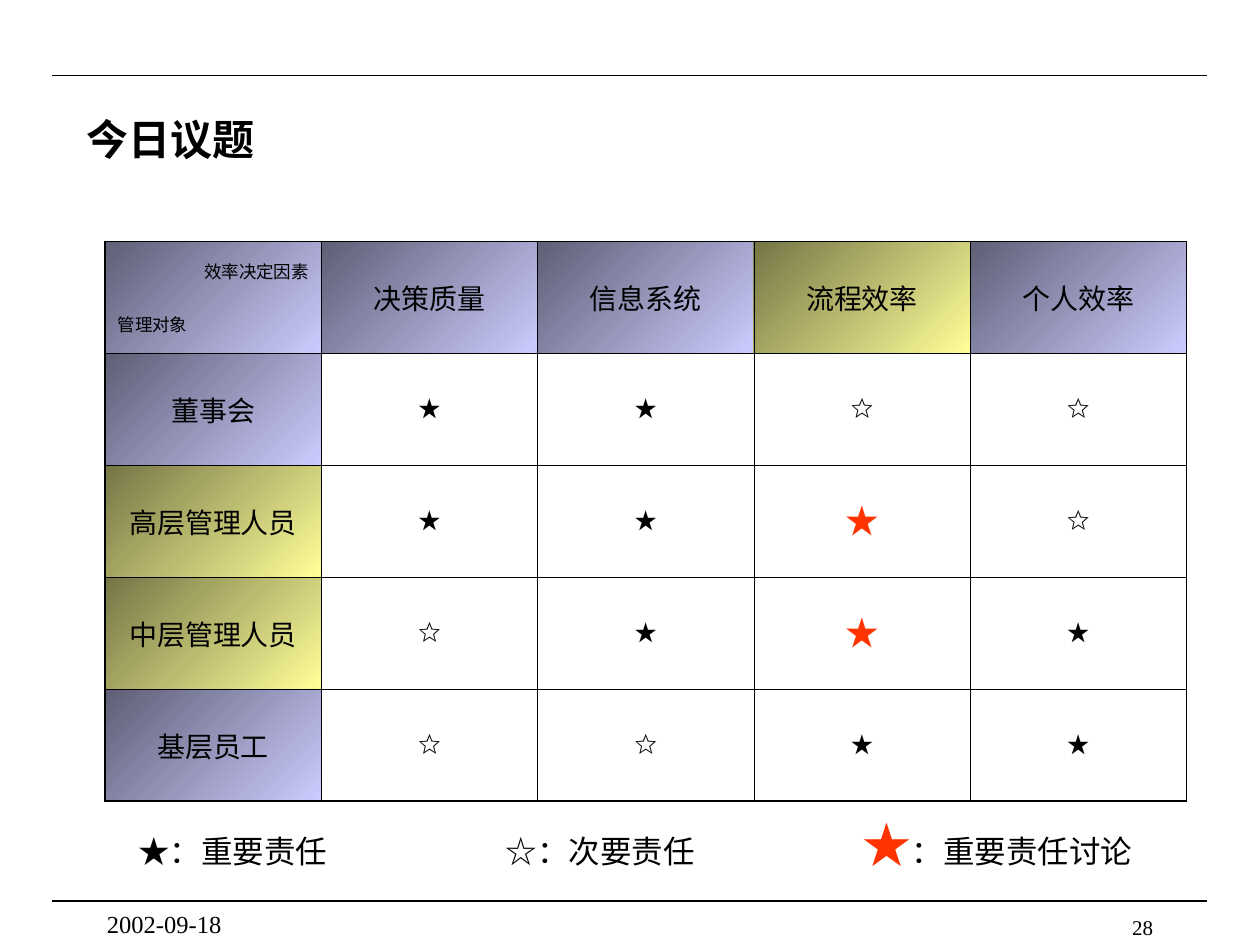
from lxml import etree
from pptx import Presentation
from pptx.dml.color import RGBColor
from pptx.enum.shapes import MSO_CONNECTOR, MSO_SHAPE
from pptx.enum.text import MSO_ANCHOR, PP_ALIGN
from pptx.oxml.ns import qn
from pptx.util import Inches, Pt

BLACK = RGBColor(0x00, 0x00, 0x00)
WHITE = RGBColor(0xFF, 0xFF, 0xFF)
RED = RGBColor(0xFF, 0x33, 0x00)
BLUE = (RGBColor(0xCC, 0xCC, 0xFF), RGBColor(0x5E, 0x5E, 0x75))
GOLD = (RGBColor(0xFF, 0xFF, 0x99), RGBColor(0x75, 0x75, 0x46))
LEFT, MID, RIGHT = PP_ALIGN.LEFT, PP_ALIGN.CENTER, PP_ALIGN.RIGHT
TOP, CENTER = MSO_ANCHOR.TOP, MSO_ANCHOR.MIDDLE
RECT, LINE = MSO_SHAPE.RECTANGLE, MSO_CONNECTOR.STRAIGHT
SANS, SERIF = "Noto Sans CJK SC", "Times New Roman"
COLS, ROWS = 120, 90
HEADS = ["决策质量", "信息系统", "流程效率", "个人效率"]
DUTIES = [
    ("董事会", "★★☆☆"),
    ("高层管理人员", "★★★☆"),
    ("中层管理人员", "☆★★★"),
    ("基层员工", "☆☆★★"),
]
HOT_COL, HOT_ROWS = 3, (2, 3)


class Deck:
    """Holds the style and the current slide, measured on a grid of twelfths of an inch."""

    def __init__(self):
        self.prs = Presentation()
        self.prs.slide_width, self.prs.slide_height = Inches(10), Inches(7.5)
        self.unit_x = self.prs.slide_width / COLS
        self.unit_y = self.prs.slide_height / ROWS
        self.slide = self.prs.slides.add_slide(self.prs.slide_layouts[5])

    def place(self, x, y, w, h):
        return (round(x * self.unit_x), round(y * self.unit_y),
                round(w * self.unit_x), round(h * self.unit_y))

    def font(self, font, size, name, color=BLACK, bold=False):
        font.size, font.name, font.bold = Pt(size), name, bold
        font.color.rgb = color

    def para(self, para, text, size, name, align=LEFT, color=BLACK, bold=False):
        para.text, para.alignment = text, align
        self.font(para.font, size, name, color, bold)
        base = para._p.pPr.find(qn("a:defRPr"))
        etree.SubElement(base, qn("a:ea"), typeface=SANS)

    def title(self, text, *box):
        shape = self.slide.shapes.title
        shape.left, shape.top, shape.width, shape.height = self.place(*box)
        shape.text_frame.vertical_anchor = CENTER
        self.para(shape.text_frame.paragraphs[0], text, 24, SANS, bold=True)

    def rule(self, y):
        x, top, span, _ = self.place(5, y, 110, 0)
        line = self.slide.shapes.add_connector(LINE, x, top, x + span, top)
        line.line.color.rgb, line.line.width = BLACK, Pt(0.75)
        etree.SubElement(line._element.spPr, qn("a:effectLst"))

    def note(self, text, size, align, *box):
        frame = self.slide.shapes.add_textbox(*self.place(*box)).text_frame
        frame.word_wrap, frame.vertical_anchor = True, TOP
        self.para(frame.paragraphs[0], text, size, SERIF, align)

    def key(self, star, text, x, y, size=18, name=SANS, color=BLACK):
        shape = self.slide.shapes.add_shape(RECT, *self.place(x, y, 31, 4))
        shape.shadow.inherit = False
        shape.fill.solid()
        shape.fill.fore_color.rgb = WHITE
        shape.line.fill.background()
        frame = shape.text_frame
        frame.word_wrap, frame.vertical_anchor = False, CENTER
        para = frame.paragraphs[0]
        self.para(para, star, 18, SANS)
        if color != BLACK:
            self.font(para.runs[0].font, size, name, color)
        para.add_run().text = text

    def edge(self, cell, sides):
        props = cell._tc.get_or_add_tcPr()
        for spot, (side, width) in enumerate(sides):
            line = etree.Element(qn("a:ln" + side), w=str(Pt(width)))
            fill = etree.SubElement(line, qn("a:solidFill"))
            etree.SubElement(fill, qn("a:srgbClr"), val=str(BLACK))
            props.insert(spot, line)

    def shade(self, cell, pair):
        cell.fill.gradient()
        cell.fill.gradient_angle = 135
        for stop, color, spot in zip(cell.fill.gradient_stops, pair, (0, 1)):
            stop.color.rgb, stop.position = color, spot

    def table(self, data, *box):
        count = len(data)
        frame = self.slide.shapes.add_table(count, count, *self.place(*box))
        table = frame.table
        table.first_row = table.horz_banding = False
        last = count - 1
        for r, row in enumerate(data):
            for c, text in enumerate(row):
                cell = table.cell(r, c)
                cell.vertical_anchor = CENTER
                hot_row, hot_col = r in HOT_ROWS, c == HOT_COL
                if r and c:
                    cell.fill.background()
                else:
                    self.shade(cell, GOLD if hot_row or hot_col else BLUE)
                red = hot_row and hot_col
                if r or c:
                    self.para(cell.text_frame.paragraphs[0], text, 24 if red else 16,
                              SERIF, MID, RED if red else BLACK)
                outer = (("L", c == 0), ("R", c == last), ("T", r == 0), ("B", r == last))
                self.edge(cell, [(s, 1.08 if out else 0.45) for s, out in outer])
        return table

    def corner(self, cell, upper, lower):
        frame = cell.text_frame
        self.para(frame.paragraphs[0], upper, 10, SERIF, RIGHT)
        para = frame.add_paragraph()
        self.para(para, lower, 10, SERIF)
        para.space_before = Pt(16)


def main():
    deck = Deck()
    deck.rule(7.2)
    deck.rule(85.8)
    deck.title("今日议题", 7, 8.4, 108, 9.6)
    data = [["", *HEADS]] + [[who, *stars] for who, stars in DUTIES]
    table = deck.table(data, 10, 23, 103, 53.3)
    deck.corner(table.cell(0, 0), "效率决定因素", "管理对象")
    deck.key("★", "：重要责任", 12, 79)
    deck.key("☆", "：次要责任", 47, 79)
    deck.key("★", "：重要责任讨论", 81, 78.4, 28, SERIF, RED)
    deck.note("28", 12, RIGHT, 86, 86.5, 25, 2)
    deck.note("2002-09-18", 14, LEFT, 9, 86, 25, 3)
    deck.prs.save("out.pptx")


if __name__ == "__main__":
    main()
